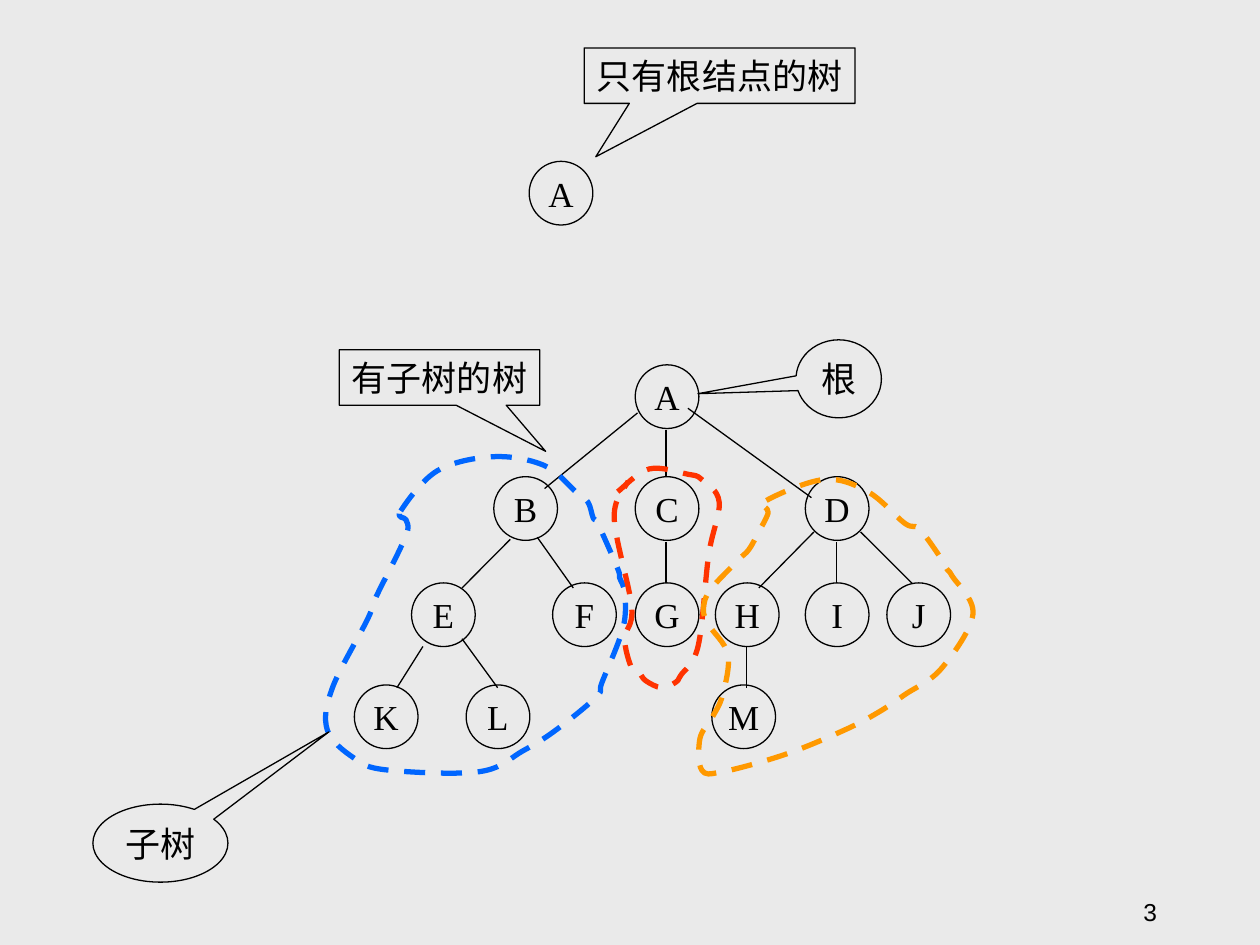
from dataclasses import dataclass

from lxml.etree import SubElement
from pptx import Presentation
from pptx.dml.color import RGBColor
from pptx.enum.dml import MSO_LINE
from pptx.enum.shapes import MSO_CONNECTOR, MSO_SHAPE as Preset
from pptx.enum.text import MSO_ANCHOR, MSO_AUTO_SIZE, PP_ALIGN
from pptx.oxml.ns import qn
from pptx.util import Pt

COLORS = {"background": "EAEAEA", "ink": "000000", "blue": "0066FF",
          "red": "FF3300", "orange": "FF9900"}
NODE_SIZE = 36.4
Point = tuple[float, float]


@dataclass
class Node:
    label: str
    left: float
    top: float


@dataclass
class Edge:
    start: Point
    end: Point


@dataclass
class Callout:
    label: str
    preset: Preset
    box: tuple[float, float, float, float]
    tip: Point  # offset from the centre, as a share of the size


@dataclass
class Outline:
    color: str
    anchors: list[Point]
    closed: bool = True


def color(name: str) -> RGBColor:
    return RGBColor.from_string(COLORS[name])


def write(shape, text: str, font: str = "Times New Roman", size: float = 20,
          align=PP_ALIGN.CENTER, anchor=MSO_ANCHOR.MIDDLE) -> None:
    frame = shape.text_frame
    frame.text = text
    frame.vertical_anchor = anchor
    para = frame.paragraphs[0]
    para.alignment = align
    span = para.runs[0]
    span.font.name, span.font.size = font, Pt(size)
    span.font.color.rgb = color("ink")


def style(shape, line: str = "ink", width: float = 0.75) -> None:
    shape.shadow.inherit = False
    shape.fill.background()
    shape.line.color.rgb = color(line)
    shape.line.width = Pt(width)


def draw_node(shapes, node: Node) -> None:
    circle = shapes.add_shape(Preset.OVAL, Pt(node.left), Pt(node.top),
                              Pt(NODE_SIZE), Pt(NODE_SIZE))
    style(circle)
    write(circle, node.label)
    circle.text_frame.word_wrap = False


def draw_edge(shapes, edge: Edge) -> None:
    line = shapes.add_connector(MSO_CONNECTOR.STRAIGHT,
                                *map(Pt, edge.start + edge.end))
    line.line.color.rgb = color("ink")
    line.line.width = Pt(0.75)
    SubElement(line._element.spPr, qn("a:effectLst"))


def draw_callout(shapes, callout: Callout) -> None:
    bubble = shapes.add_shape(callout.preset, *map(Pt, callout.box))
    style(bubble)
    bubble.adjustments[0], bubble.adjustments[1] = callout.tip
    write(bubble, callout.label)
    bubble.text_frame.word_wrap = False
    bubble.text_frame.auto_size = MSO_AUTO_SIZE.SHAPE_TO_FIT_TEXT


def smooth_points(anchors: list[Point], closed: bool) -> list[Point]:
    """Bezier points of a Catmull-Rom curve through the anchors."""
    first, last = (anchors[-1], anchors[0]) if closed else (anchors[0], anchors[-1])
    chain = [first, *anchors] + ([last, anchors[1]] if closed else [last])
    points = []
    for before, start, end, after in zip(chain, chain[1:], chain[2:], chain[3:]):
        points += [tuple(s + (e - b) / 6 for b, s, e in zip(before, start, end)),
                   tuple(e - (a - s) / 6 for s, e, a in zip(start, end, after)),
                   end]
    return points


def draw_outline(shapes, outline: Outline) -> None:
    builder = shapes.build_freeform(*map(Pt, outline.anchors[0]))
    points = smooth_points(outline.anchors, outline.closed)
    builder.add_line_segments([(Pt(x), Pt(y)) for x, y in points], outline.closed)
    loop = builder.convert_to_shape()
    # Turn every three line segments into one curve
    segments = list(loop._element.iter(qn("a:lnTo")))
    for index in range(0, len(segments), 3):
        curve = segments[index]
        curve.tag = qn("a:cubicBezTo")
        for segment in segments[index + 1:index + 3]:
            curve.append(segment[0])
            segment.getparent().remove(segment)
    style(loop, outline.color, 3)
    loop.line.dash_style = MSO_LINE.DASH


SINGLE_ROOT = Node("A", 302.4, 92.2)
SINGLE_CALLOUT = Callout("只有根结点的树", Preset.RECTANGULAR_CALLOUT,
                         (333.8, 27.4, 154.8, 31.7), (-0.457, 1.463))
TREE_CALLOUT = Callout("有子树的树", Preset.RECTANGULAR_CALLOUT,
                       (193.9, 199.9, 114.5, 31.7), (0.53, 1.332))
LABELS = [
    Callout("根", Preset.OVAL_CALLOUT, (454.9, 194.2, 48.8, 44.6), (-1.649, 0.19)),
    Callout("子树", Preset.OVAL_CALLOUT, (53.1, 459.5, 77.2, 44.6), (1.247, -1.426)),
]
# Tree levels: top of the row, then label and left of each node
LEVELS = [
    (208.5, {"A": 363}),
    (272.4, {"B": 282.2, "C": 363, "D": 460.2}),
    (333.1, {"E": 235.2, "F": 315.8, "G": 363, "H": 408.8, "I": 460.2, "J": 506.8}),
    (391.4, {"K": 202.5, "L": 266.4, "M": 406.8}),
]
EDGES = [
    Edge((380.6, 245.5), (380.6, 272.4)), Edge((380.6, 309.6), (380.6, 333.4)),
    Edge((478, 309.6), (478, 333.4)), Edge((465.1, 304), (433.6, 336)),
    Edge((491.8, 304), (521.3, 333.4)), Edge((393.1, 233.3), (463.7, 284.4)),
    Edge((364.3, 236), (311.2, 279.2)), Edge((307, 307), (327.6, 336)),
    Edge((291.6, 308.2), (264, 336)), Edge((241.7, 369.4), (226.8, 393)),
    Edge((264, 365), (284.4, 393)), Edge((426.4, 369.4), (426.4, 393)),
]
OUTLINES = [
    Outline("blue", [
        (229, 292), (250, 269), (282, 261), (311, 266), (329, 281), (336, 287),
        (339, 296), (342, 300), (353, 325), (354, 330), (357, 339), (356, 359),
        (344, 390), (341, 398), (318, 417), (299, 429), (274, 441), (221, 440),
        (202, 433), (187, 417), (190, 393), (210, 354), (215, 341), (228, 315),
        (233, 303), (232, 297)]),
    Outline("red", [
        (353, 281), (371, 268), (393, 271), (401, 274), (411, 287), (405, 317),
        (399, 369), (389, 386), (386, 390), (378, 393), (369, 389), (365, 384),
        (361, 382), (357, 365), (361, 347), (351, 296), (359, 275)], closed=False),
    Outline("orange", [
        (438, 286), (471, 274), (496, 281), (517, 299), (525, 302), (535, 315),
        (541, 325), (544, 329), (556, 351), (538, 382), (517, 397), (502, 407),
        (483, 417), (449, 431), (413, 441), (401, 440), (400, 422), (407, 410),
        (413, 397), (416, 374), (405, 357), (402, 348), (406, 337), (422, 320),
        (428, 314), (433, 305), (439, 293)]),
]


def main() -> None:
    deck = Presentation()
    deck.slide_width, deck.slide_height = Pt(720), Pt(540)
    page = deck.slides.add_slide(deck.slide_layouts[6])
    page.background.fill.solid()
    page.background.fill.fore_color.rgb = color("background")

    # Tree with a root only
    single = page.shapes.add_group_shape().shapes
    draw_node(single, SINGLE_ROOT)
    draw_callout(single, SINGLE_CALLOUT)

    # Tree with subtrees
    tree = page.shapes.add_group_shape().shapes
    for top, nodes in LEVELS:
        for label, left in nodes.items():
            draw_node(tree, Node(label, left, top))
    for edge in EDGES:
        draw_edge(tree, edge)
    draw_callout(tree, TREE_CALLOUT)

    # Subtree outlines and labels
    for outline in OUTLINES:
        draw_outline(page.shapes, outline)
    for callout in LABELS:
        draw_callout(page.shapes, callout)

    # Page number
    number = page.shapes.add_textbox(Pt(518.4), Pt(496.8), Pt(149.8), Pt(36))
    number.text_frame.word_wrap = True
    write(number, "3", "Arial", 14, PP_ALIGN.RIGHT, MSO_ANCHOR.BOTTOM)

    deck.save("out.pptx")


if __name__ == "__main__":
    main()
